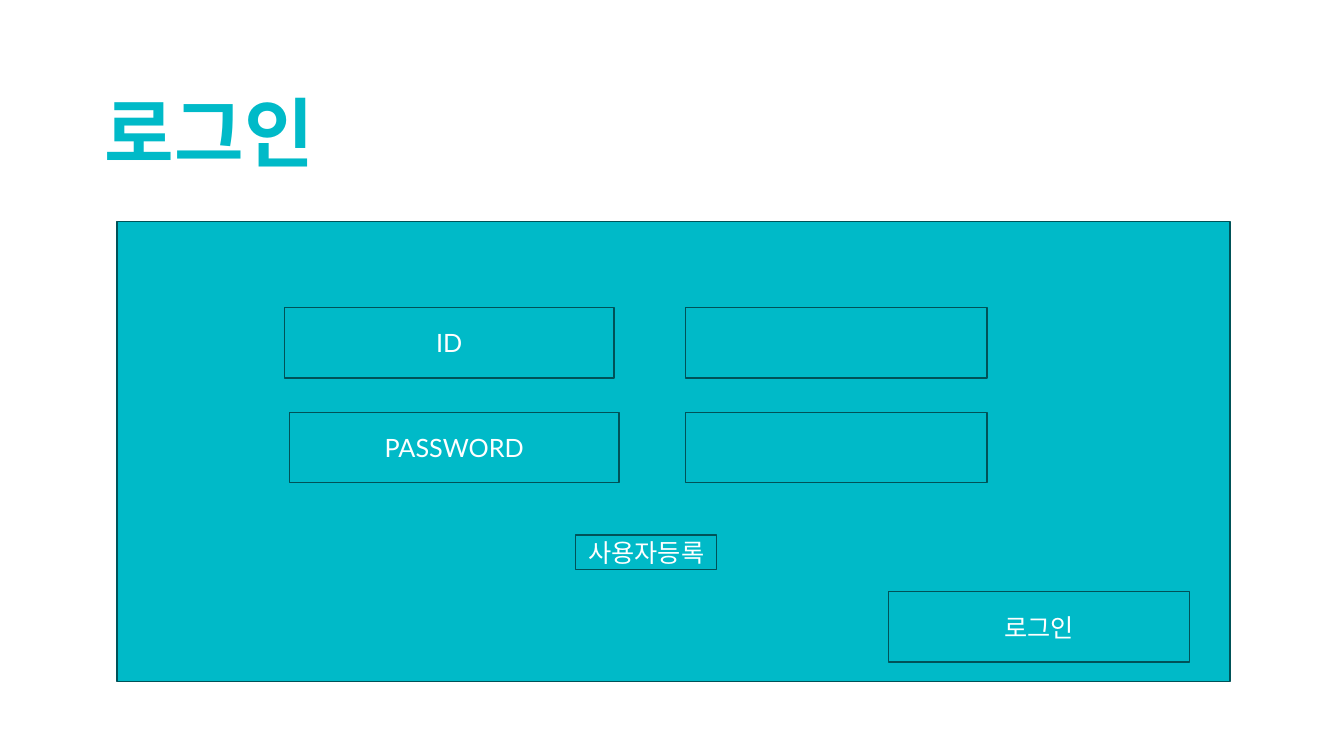
from pptx import Presentation
from pptx.dml.color import RGBColor
from pptx.enum import shapes, text
from pptx.util import Inches, Pt

COLORS = {"teal": "00BAC8", "outline": "005258", "white": "FFFFFF"}
FONT = "Lato"
ROW_TOPS = (3.05, 4.09)
BOX_HEIGHT = 0.7
LABEL_WIDTH = 3.27
INPUT_LEFT, INPUT_WIDTH = 6.8, 2.99


def rgb(name):
    return RGBColor.from_string(COLORS[name])


def set_attrs(obj, values):
    for name, value in values.items():
        setattr(obj, name, value)


def add_run(p, content, size, color, bold=False):
    r = p.add_run()
    r.text = content
    set_attrs(r.font, {"name": FONT, "size": Pt(size), "bold": bold})
    r.font.color.rgb = rgb(color)
    return r


def add_title(slide, content):
    tf = slide.shapes.add_textbox(
        Inches(0.92), Inches(0.4), Inches(11.5), Inches(1.45)).text_frame
    set_attrs(tf, {
        "word_wrap": True,
        "vertical_anchor": text.MSO_ANCHOR.BOTTOM,
        "margin_left": Inches(0.12),
        "margin_top": Inches(0.12),
        "margin_right": Inches(0.12),
        "margin_bottom": Inches(0.1),
    })
    p = tf.paragraphs[0]
    p.line_spacing = 1.14
    r = add_run(p, content, 54, "teal", bold=True)
    r.font._element.set("spc", "30")


def add_box(slide, left, top, width, height, label=""):
    """Add an outlined teal rectangle with an optional centred label."""
    sp = slide.shapes.add_shape(
        shapes.MSO_SHAPE.RECTANGLE,
        Inches(left), Inches(top), Inches(width), Inches(height))
    sp.shadow.inherit = False
    sp.fill.solid()
    sp.fill.fore_color.rgb = rgb("teal")
    sp.line.color.rgb = rgb("outline")
    sp.line.width = Pt(1)
    if label:
        tf = sp.text_frame
        set_attrs(tf, {"word_wrap": True,
                       "vertical_anchor": text.MSO_ANCHOR.MIDDLE})
        p = tf.paragraphs[0]
        p.alignment = text.PP_ALIGN.CENTER
        add_run(p, label, 18, "white")


def main():
    prs = Presentation()
    prs.slide_width, prs.slide_height = Inches(13.33), Inches(7.5)
    slide = prs.slides.add_slide(prs.slide_layouts[6])

    add_title(slide, "로그인")
    add_box(slide, 1.16, 2.2, 11.04, 4.56)
    for top, left, label in zip(ROW_TOPS, (2.82, 2.87), ("ID", "PASSWORD")):
        add_box(slide, INPUT_LEFT, top, INPUT_WIDTH, BOX_HEIGHT)
        add_box(slide, left, top, LABEL_WIDTH, BOX_HEIGHT, label)
    add_box(slide, 8.81, 5.87, INPUT_WIDTH, BOX_HEIGHT, "로그인")
    add_box(slide, 5.71, 5.31, 1.4, 0.34, "사용자등록")

    prs.save("out.pptx")


if __name__ == "__main__":
    main()
